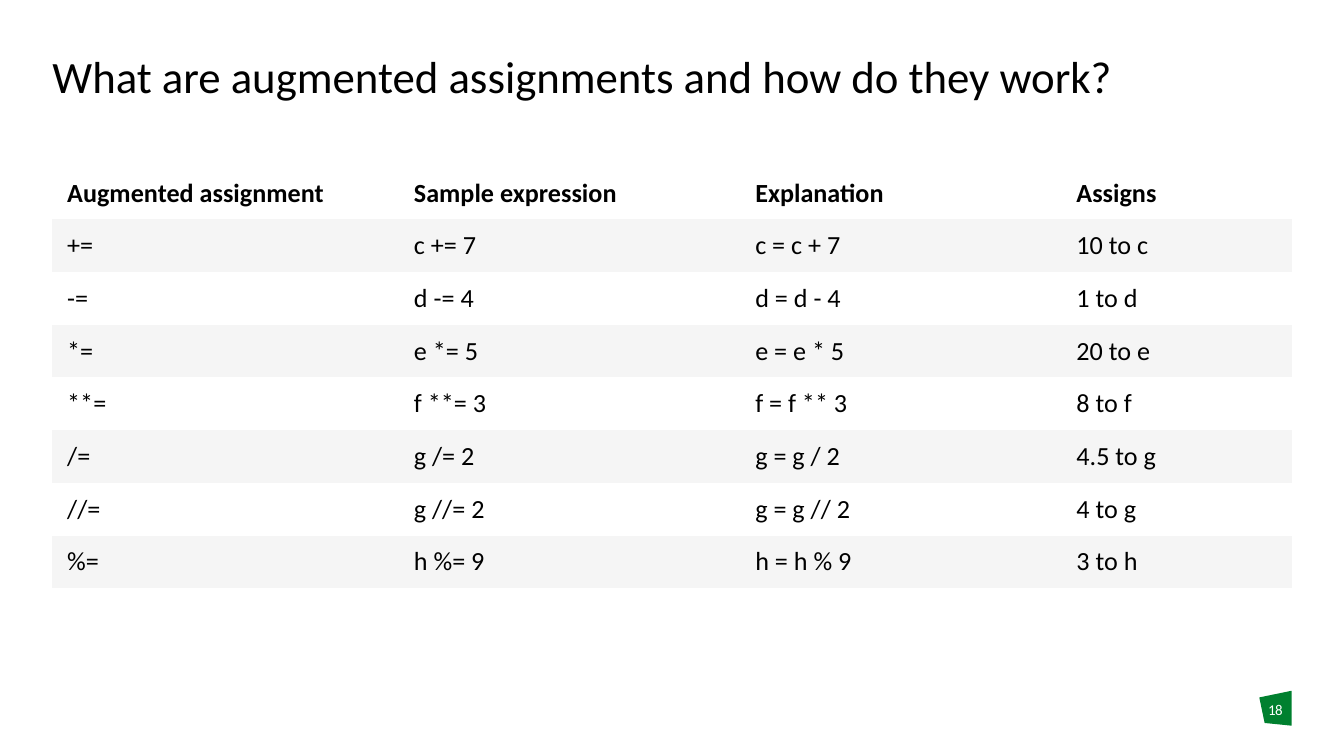
from pptx import Presentation
from pptx.dml.color import RGBColor
from pptx.enum.text import MSO_ANCHOR as ANCHOR, PP_ALIGN as ALIGN
from pptx.util import Inches, Pt

FONT = "Calibri"
BLACK = RGBColor(0x00, 0x00, 0x00)
WHITE = RGBColor(0xFF, 0xFF, 0xFF)
GREEN = RGBColor(0x00, 0x80, 0x2F)
BAND = RGBColor(0xF5, 0xF5, 0xF5)

NO_STYLE_NO_GRID = "{2D5ABB26-0587-4C30-8999-92F81FD0307C}"
LEFT, WIDTH = 0.39, 9.22
COL_WIDTHS = [2.58, 2.54, 2.39, 1.71]
ROWS = [
    ("Augmented assignment", "Sample expression", "Explanation", "Assigns"),
    ("+=", "c += 7", "c = c + 7", "10 to c"),
    ("-=", "d -= 4", "d = d - 4", "1 to d"),
    ("*=", "e *= 5", "e = e * 5", "20 to e"),
    ("**=", "f **= 3", "f = f ** 3", "8 to f"),
    ("/=", "g /= 2", "g = g / 2", "4.5 to g"),
    ("//=", "g //= 2", "g = g // 2", "4 to g"),
    ("%=", "h %= 9", "h = h % 9", "3 to h"),
]
BADGE = [(9.37, 5.19), (9.61, 5.14), (9.61, 5.4), (9.41, 5.38)]


def write(tf, text, size, color, bold=False):
    tf.text = text
    p = tf.paragraphs[0]
    r = p.runs[0]
    r.font.name, r.font.size, r.font.bold = FONT, Pt(size), bold
    r.font.color.rgb = color
    return p


def plain_frame(sp):
    tf = sp.text_frame
    tf.word_wrap = True
    tf.vertical_anchor = ANCHOR.TOP
    tf.margin_left = tf.margin_right = tf.margin_top = tf.margin_bottom = 0
    return tf


def add_title(s, text):
    sp = s.shapes.title
    sp.left, sp.top = Inches(LEFT), Inches(0.41)
    sp.width, sp.height = Inches(WIDTH), Inches(0.67)
    p = write(plain_frame(sp), text, 24, BLACK)
    p.alignment = ALIGN.LEFT
    p.line_spacing = 0.9


def add_table(s, rows):
    frame = s.shapes.add_table(len(rows), len(COL_WIDTHS), Inches(LEFT),
                               Inches(1.24), Inches(WIDTH), Inches(3.14))
    table = frame.table
    table.horz_banding = False
    table._tbl.tblPr[0].text = NO_STYLE_NO_GRID
    for col, width in zip(table.columns, COL_WIDTHS):
        col.width = Inches(width)
    for i, row in enumerate(rows):
        for j, text in enumerate(row):
            cell = table.cell(i, j)
            cell.vertical_anchor = ANCHOR.MIDDLE
            cell.margin_left = cell.margin_right = Inches(0.11)
            cell.margin_top = cell.margin_bottom = Inches(0.06)
            write(cell.text_frame, text, 14, BLACK, bold=i == 0)
            # Every second row is banded
            if i % 2:
                cell.fill.solid()
                cell.fill.fore_color.rgb = BAND
            else:
                cell.fill.background()


def add_badge(s):
    points = [(Inches(x), Inches(y)) for x, y in BADGE]
    builder = s.shapes.build_freeform(*points[0])
    builder.add_line_segments(points[1:], close=True)
    sp = builder.convert_to_shape()
    sp.shadow.inherit = False
    sp.fill.solid()
    sp.fill.fore_color.rgb = GREEN
    sp.line.fill.background()


def add_page_number(s, number):
    sp = s.shapes.add_textbox(Inches(9.37), Inches(5.21), Inches(0.24), Inches(0.3))
    p = write(plain_frame(sp), number, 8, WHITE)
    p.alignment = ALIGN.CENTER
    p.space_after = Pt(6)
    # Letter spacing in hundredths of a point
    p.runs[0]._r.get_or_add_rPr().set("spc", "-30")


def main():
    prs = Presentation()
    # Widescreen, 16:9
    prs.slide_width = Inches(10)
    prs.slide_height = prs.slide_width * 9 // 16
    s = prs.slides.add_slide(prs.slide_layouts[5])
    add_badge(s)
    add_title(s, "What are augmented assignments and how do they work?")
    add_page_number(s, "18")
    add_table(s, ROWS)
    prs.save("out.pptx")


if __name__ == "__main__":
    main()
